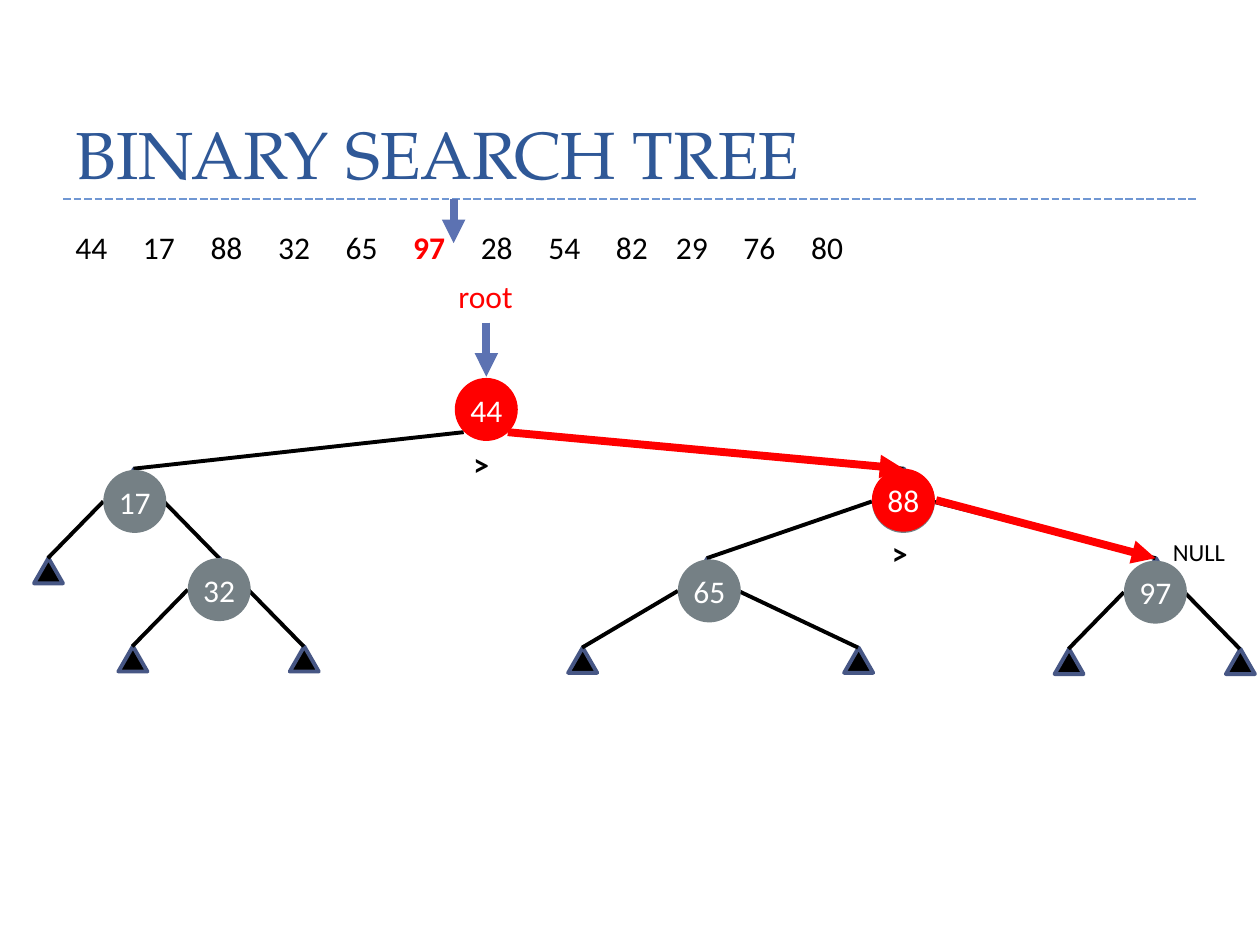
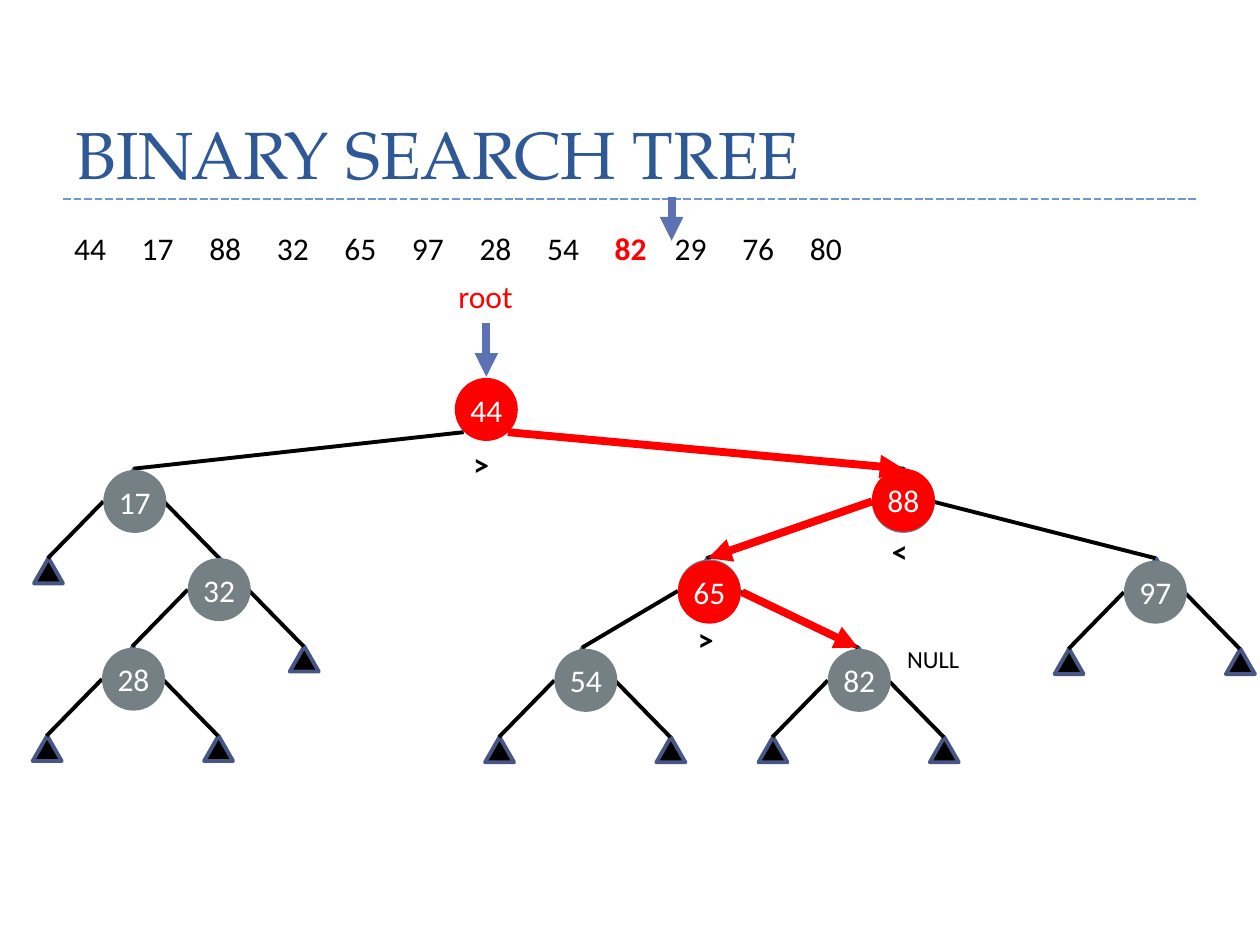
from lxml.etree import SubElement
from pptx import Presentation
from pptx.dml.color import RGBColor as RGB
from pptx.enum.dml import MSO_LINE as Dash
from pptx.enum.shapes import MSO_CONNECTOR as Conn, MSO_SHAPE as Kind
from pptx.enum.text import MSO_ANCHOR as Anchor, MSO_AUTO_SIZE as Auto, PP_ALIGN as Align
from pptx.oxml.ns import qn
from pptx.util import Inches, Pt

HUES = {"title": "2F5897", "rule": "7097D3", "arrow": "5C72B2", "node": "758085",
        "edge": "475785", "red": "FF0000", "black": "000000", "white": "FFFFFF"}
HUE = {name: RGB.from_string(code) for name, code in HUES.items()}
DISC = 0.5


def write(slide, text, x, y, w, h=0.4, size=18, hue="black", bold=False, hot="", disc=None, stops=()):
    """Add a text box, or a filled disc with centred text; hot marks a red bold word."""
    area = [Inches(v) for v in (x, y, w, h)]
    if disc:
        shape = slide.shapes.add_shape(Kind.OVAL, *area)
        shape.shadow.inherit = False
        shape.fill.solid()
        shape.fill.fore_color.rgb = HUE[disc]
        shape.line.fill.background()
    else:
        shape = slide.shapes.add_textbox(*area)
    frame = shape.text_frame
    frame.word_wrap = bool(stops)
    para = frame.paragraphs[0]
    if disc:
        frame.margin_left = frame.margin_right = frame.margin_top = frame.margin_bottom = 0
        frame.vertical_anchor = Anchor.MIDDLE
        para.alignment = Align.CENTER
    else:
        frame.auto_size = Auto.SHAPE_TO_FIT_TEXT
    if stops:
        tabs = SubElement(para._p.get_or_add_pPr(), qn("a:tabLst"))
        for stop in stops:
            SubElement(tabs, qn("a:tab"), pos=str(Inches(stop)), algn="l")
    for part in text.partition(hot) if hot else (text,):
        run = para.add_run()
        run.text = part
        font = run.font
        font.name, font.size = "Calibri", Pt(size)
        font.bold = bold or part == hot
        font.color.rgb = HUE["red" if part == hot else hue]


def link(slide, ends, hue="black", width=2.25, head=False):
    """Draw a straight line, with an arrowhead at its end if asked."""
    line = slide.shapes.add_connector(Conn.STRAIGHT, *[Inches(v) for v in ends])
    line.line.color.rgb = HUE[hue]
    line.line.width = Pt(width)
    if head:
        SubElement(line.line._get_or_add_ln(), qn("a:tailEnd"), type="triangle")
    SubElement(line._element.spPr, qn("a:effectLst"))
    return line


# Numbers to insert, with the tab stops of their row
nums = [44, 17, 88, 32, 65, 97, 28, 54, 82, 29, 76, 80]
stops = [4.29 * i / 8 - (0.06 if i > 8 else 0) for i in range(1, len(nums))]

# Nodes: key, left, top, reach to the left child, reach to the right child
near = (0.55, 0.81)
tree = [(17, 0.82, 3.73, *near), (32, 1.49, 4.43, *near), (88, 6.92, 3.73, 1.42, 2.14),
        (65, 5.38, 4.44, 0.87, 1.32), (97, 8.92, 4.45, *near)]
more = [(28, 0.81, 5.14, *near), (54, 4.4, 5.15, *near), (82, 6.57, 5.15, *near)]

# Red hops: arrow ends, then the visited node and the sign below it
first = (4.03, 3.43, 7.17, 3.72)
pages = [
    dict(new=97, row=(0.5, 1.76), mark=(3.6, 1.58), nodes=tree, null=(9.21, 4.21),
         hops=[(first, 88, 6.92, 3.72, ">", 4.19)], last=(7.43, 3.97, 9.17, 4.43)),
    dict(new=82, row=(0.49, 1.77), mark=(5.33, 1.56), nodes=tree + more, null=(7.1, 5.06),
         hops=[(first, 88, 6.92, 3.72, "<", 4.17),
               ((6.92, 3.98, 5.62, 4.43), 65, 5.38, 4.45, ">", 4.87)],
         last=(5.89, 4.7, 6.81, 5.14)),
]

deck = Presentation()
deck.slide_width, deck.slide_height = Inches(10), Inches(7.5)

for page in pages:
    slide = deck.slides.add_slide(deck.slide_layouts[5])

    # Title and dashed rule
    title = slide.shapes.title
    title.left, title.top, title.width, title.height = [Inches(v) for v in (0.5, -0.17, 9, 1.75)]
    title.text = "BINARY SEARCH TREE"
    title.text_frame.vertical_anchor = Anchor.BOTTOM
    title.text_frame.auto_size = Auto.NONE
    para = title.text_frame.paragraphs[0]
    para.alignment, para.line_spacing = Align.LEFT, Pt(58)
    para.font.name, para.font.size = "TeX Gyre Pagella", Pt(38)
    para.font.color.rgb = HUE["title"]
    rule = link(slide, (0.5, 1.58, 9.5, 1.58), "rule", 1.5)
    rule.line.dash_style = Dash.SQUARE_DOT

    # Row of numbers, with the current one marked
    write(slide, "\t".join(map(str, nums)), *page["row"], 6.78, hot=str(page["new"]), stops=stops)
    x, y = page["mark"]
    link(slide, (x, y, x, y + 0.35), "arrow", 4.5, head=True)

    # Branches: start of the line, then the leaf's left and top
    limbs = [(3.68, 3.43, 0.95, 3.72), (4.04, 3.43, 7.06, 3.72)]
    for key, x, y, left, right in page["nodes"]:
        limbs += [(x, y + 0.25, x - left, y + 0.7), (x + 0.48, y + 0.25, x + right, y + 0.7)]

    # Leaves and lines, each pair covered by the node that replaces a leaf
    for i, (x, y, leaf, top) in enumerate(limbs):
        tri = slide.shapes.add_shape(Kind.ISOSCELES_TRIANGLE, Inches(leaf), Inches(top),
                                     Inches(0.23), Inches(0.2))
        tri.shadow.inherit = False
        tri.fill.solid()
        tri.fill.fore_color.rgb = HUE["black"]
        tri.line.color.rgb = HUE["edge"]
        tri.line.width = Pt(2.25)
        link(slide, (x, y, leaf + 0.11, top))
    for key, x, y, left, right in page["nodes"]:
        write(slide, str(key), x, y, DISC, DISC, hue="white", disc="node")

    # Root
    write(slide, "root", 3.54, 2.15, 0.64, hue="red")
    link(slide, (3.86, 2.56, 3.86, 2.99), "arrow", 4.5, head=True)
    write(slide, "44", 3.61, 3, DISC, DISC, hue="white", disc="red")
    write(slide, ">", 3.66, 3.48, 0.37, bold=True)

    # Search path down to the empty place
    for ends, key, x, y, sign, low in page["hops"]:
        link(slide, ends, "red", 4.5, head=True)
        write(slide, str(key), x, y, DISC, DISC, hue="white", disc="red")
        write(slide, sign, x + 0.06, low, 0.37, bold=True)
    link(slide, page["last"], "red", 4.5, head=True)
    write(slide, "NULL", *page["null"], 0.78, 0.34, size=14)

deck.save("out.pptx")
